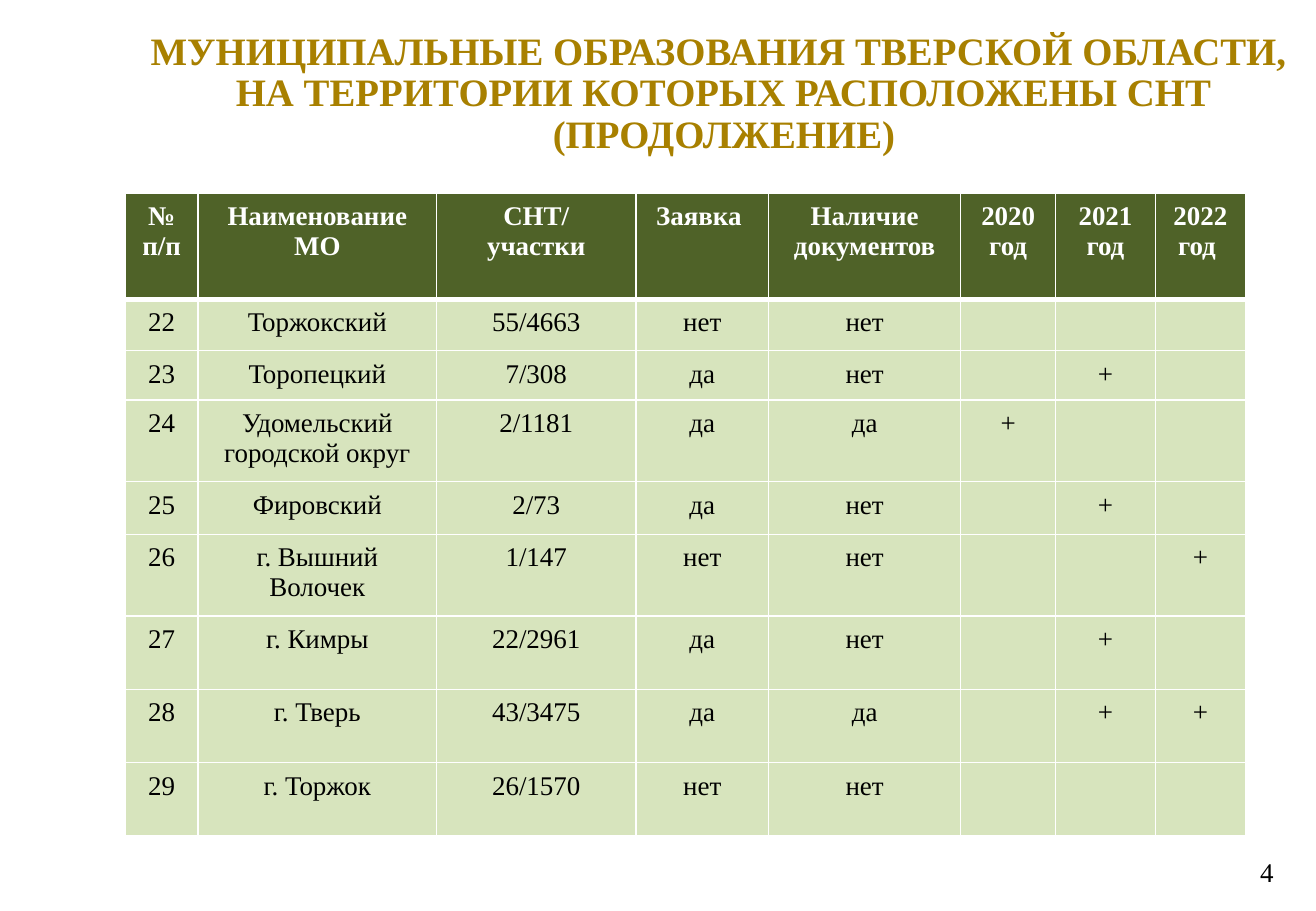
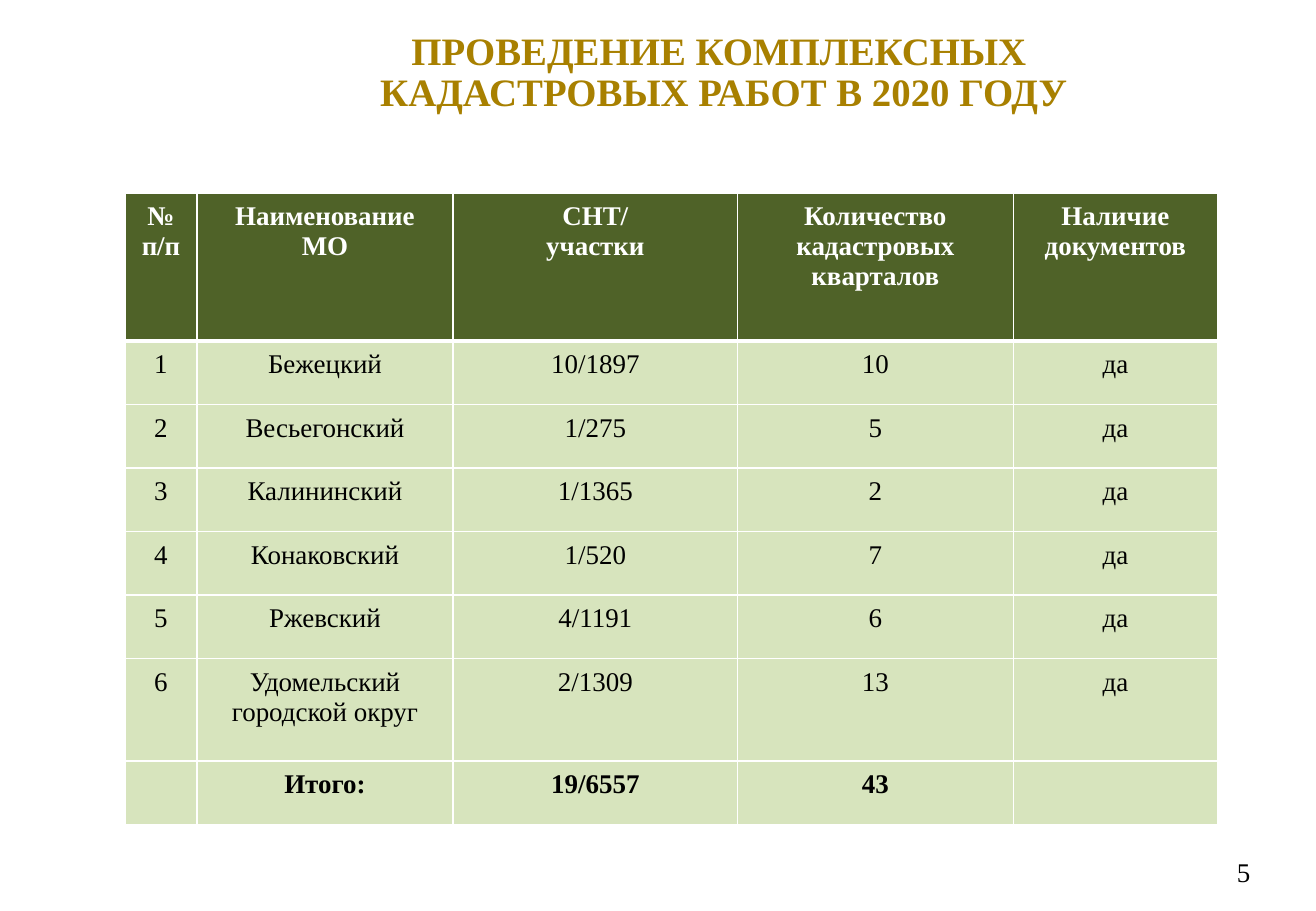
import lxml.etree
import pptx
import pptx.dml.color
import pptx.enum.text
import pptx.oxml.ns
import pptx.util

FONT = "Times New Roman"
GOLD, DARK_GREEN, LIGHT_GREEN = "A88000", "4F6228", "D7E4BD"
WHITE, BLACK = "FFFFFF", "000000"
SLIDE_W, SLIDE_H = 10.83, 7.5
TITLE_BOX = (1.08, 0.2, 9.76, 1)
TABLE_LEFT, TABLE_TOP = 1.03, 1.59
NUMBER_TOP, NUMBER_H, NUMBER_RIGHT = 6.98, 0.39, 10.69
BODY_SIZE = 16
CENTER = pptx.enum.text.PP_ALIGN.CENTER
LEFT = pptx.enum.text.PP_ALIGN.LEFT

SLIDES = [
    {
        "title": "МУНИЦИПАЛЬНЫЕ ОБРАЗОВАНИЯ ТВЕРСКОЙ ОБЛАСТИ, \n"
                 "НА ТЕРРИТОРИИ КОТОРЫХ РАСПОЛОЖЕНЫ СНТ\n(ПРОДОЛЖЕНИЕ)",
        "number": "4",
        "number_width": 0.44,
        "size": (9.22, 5.27),
        "columns": [0.6, 1.96, 1.64, 1.09, 1.58, 0.78, 0.82, 0.74],
        "rows": [0.87, 0.42, 0.4, 0.66, 0.43, 0.66, 0.6, 0.6, 0.6],
        "cells": [
            ["№ п/п", "Наименование МО", "СНТ/\nучастки", "Заявка ",
             "Наличие документов", "2020 год", "2021 год", "2022 год "],
            ["22", "Торжокский", "55/4663", "нет", "нет", "", "", ""],
            ["23", "Торопецкий", "7/308", "да", "нет", "", "+", ""],
            ["24", "Удомельский городской округ", "2/1181", "да", "да", "+", "", ""],
            ["25", "Фировский", "2/73", "да", "нет", "", "+", ""],
            ["26", "г. Вышний Волочек", "1/147", "нет", "нет", "", "", "+"],
            ["27", "г. Кимры", "22/2961", "да", "нет", "", "+", ""],
            ["28", "г. Тверь", "43/3475", "да", "да", "", "+", "+"],
            ["29", "г. Торжок", "26/1570", "нет", "нет", "", "", ""],
        ],
    },
    {
        "title": "ПРОВЕДЕНИЕ КОМПЛЕКСНЫХ \nКАДАСТРОВЫХ РАБОТ В 2020 ГОДУ",
        "number": "5",
        "number_width": 0.63,
        "size": (8.99, 5.2),
        "columns": [0.59, 2.11, 2.34, 2.27, 1.68],
        "rows": [1.21, 0.52, 0.52, 0.52, 0.52, 0.52, 0.84, 0.52],
        "cells": [
            ["№ п/п", "Наименование МО", "СНТ/\nучастки",
             "Количество кадастровых кварталов", "Наличие документов"],
            ["1", "Бежецкий", "10/1897", "10", "да"],
            ["2", "Весьегонский", "1/275", "5", "да"],
            ["3", "Калининский", "1/1365", "2", "да"],
            ["4", "Конаковский", "1/520", "7", "да"],
            ["5", "Ржевский", "4/1191", "6", "да"],
            ["6", "Удомельский городской округ", "2/1309", "13", "да"],
            ["", "Итого:", "19/6557", "43", ""],
        ],
    },
]


def inches(*lengths):
    return [pptx.util.Inches(length) for length in lengths]


def color(value):
    return pptx.dml.color.RGBColor.from_string(value)


def write(frame, text, size=BODY_SIZE, fill=BLACK, bold=False, align=CENTER, spacing=1.0):
    """Fill the frame with one paragraph for each line of text."""
    frame.word_wrap = True
    for index, line in enumerate(text.split("\n")):
        paragraph = frame.add_paragraph() if index else frame.paragraphs[0]
        paragraph.alignment = align
        paragraph.line_spacing = spacing
        paragraph.space_before = pptx.util.Pt(0)
        if not line:
            # An empty cell keeps the row height of its neighbours' text size.
            lxml.etree.SubElement(paragraph._p, pptx.oxml.ns.qn("a:endParaRPr"),
                                  sz=str(size * 100))
            continue
        run = paragraph.add_run()
        run.text = line
        run.font.name = FONT
        run.font.size = pptx.util.Pt(size)
        run.font.bold = bold
        run.font.color.rgb = color(fill)


def set_insets(holder, across, down):
    holder.margin_left = holder.margin_right = pptx.util.Inches(across)
    holder.margin_top = holder.margin_bottom = pptx.util.Inches(down)


def set_borders(cell, **widths):
    """Draw white borders; widths are points keyed by side: L, R, T, B."""
    properties = cell._tc.get_or_add_tcPr()
    qn = pptx.oxml.ns.qn
    for side, width in widths.items():
        border = lxml.etree.SubElement(properties, qn(f"a:ln{side}"),
                                       w=str(pptx.util.Pt(width)))
        solid = lxml.etree.SubElement(border, qn("a:solidFill"))
        lxml.etree.SubElement(solid, qn("a:srgbClr"), val=WHITE)


def place_title(slide, box, text):
    title = slide.shapes.title
    title.left, title.top, title.width, title.height = inches(*box)
    frame = title.text_frame
    frame.auto_size = pptx.enum.text.MSO_AUTO_SIZE.NONE
    frame.vertical_anchor = pptx.enum.text.MSO_ANCHOR.TOP
    set_insets(frame, 0.12, 0.06)
    write(frame, text, size=23, fill=GOLD, bold=True, spacing=0.9)


def place_number(slide, box, text):
    frame = slide.shapes.add_textbox(*inches(*box)).text_frame
    set_insets(frame, 0.12, 0.06)
    write(frame, text, align=LEFT)


def place_table(slide, box, columns, rows, cells):
    """Share the box among columns and rows by their weights."""
    width, height = box[2:]
    table = slide.shapes.add_table(len(rows), len(columns), *inches(*box)).table
    table.horz_banding = False
    for column, weight in zip(table.columns, columns):
        column.width = pptx.util.Inches(width * weight / sum(columns))
    for row, weight in zip(table.rows, rows):
        row.height = pptx.util.Inches(height * weight / sum(rows))
    for r, texts in enumerate(cells):
        header = r == 0
        total = "Итого:" in texts
        for c, text in enumerate(texts):
            cell = table.cell(r, c)
            set_insets(cell, 0.11, 0.07)
            set_borders(cell, L=1, R=1, T=3 if r == 1 else 1, B=3 if header else 1)
            cell.fill.solid()
            cell.fill.fore_color.rgb = color(DARK_GREEN if header else LIGHT_GREEN)
            write(cell.text_frame, text, fill=WHITE if header else BLACK,
                  bold=header or total)


def build_table_slide(deck, content):
    slide = deck.slides.add_slide(deck.slide_layouts.get_by_name("Title Only"))
    place_title(slide, TITLE_BOX, content["title"])
    number_width = content["number_width"]
    place_number(slide, (NUMBER_RIGHT - number_width, NUMBER_TOP, number_width, NUMBER_H),
                 content["number"])
    place_table(slide, (TABLE_LEFT, TABLE_TOP, *content["size"]),
                content["columns"], content["rows"], content["cells"])


def main():
    deck = pptx.Presentation()
    deck.slide_width, deck.slide_height = inches(SLIDE_W, SLIDE_H)
    for content in SLIDES:
        build_table_slide(deck, content)
    deck.save("out.pptx")


if __name__ == "__main__":
    main()
